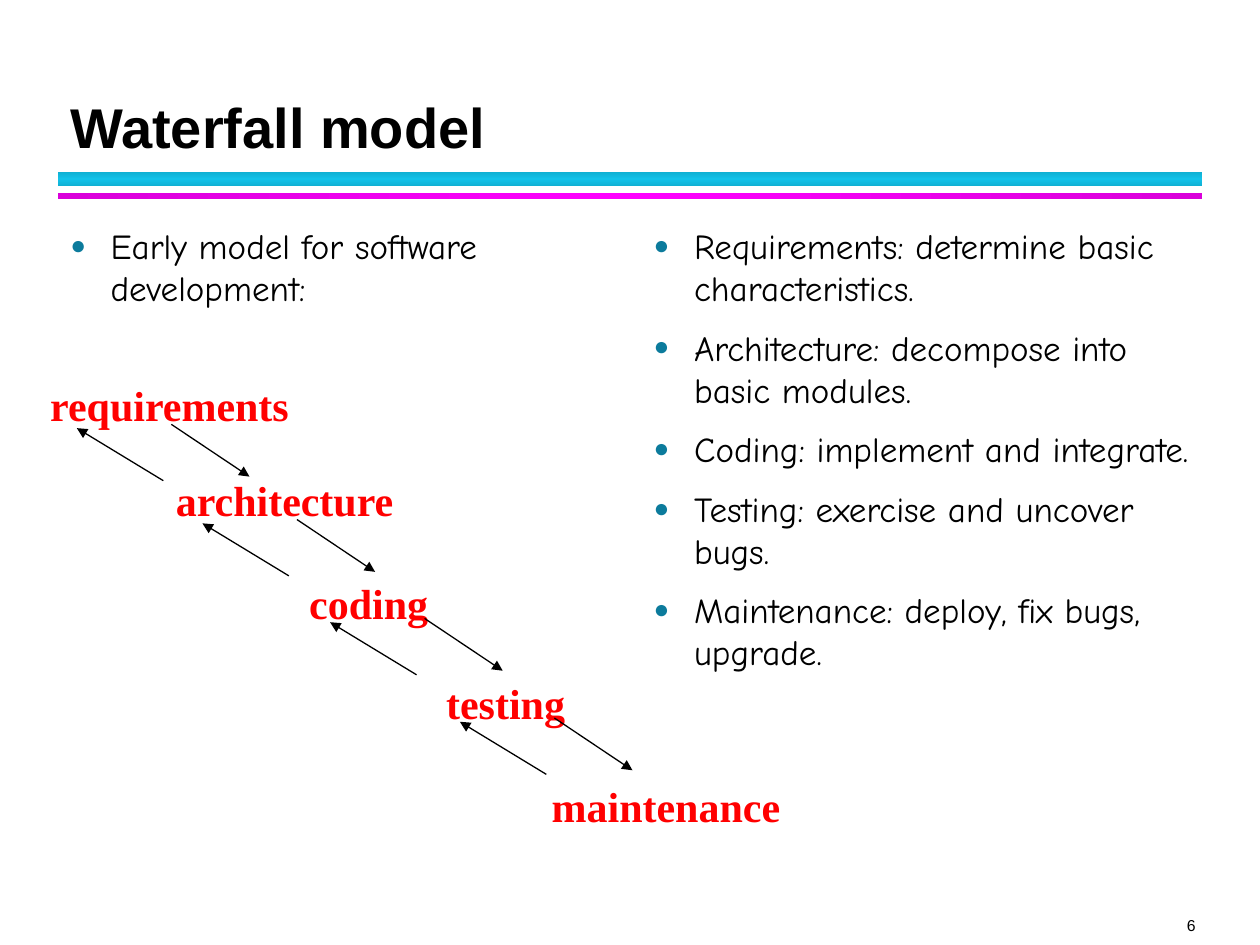
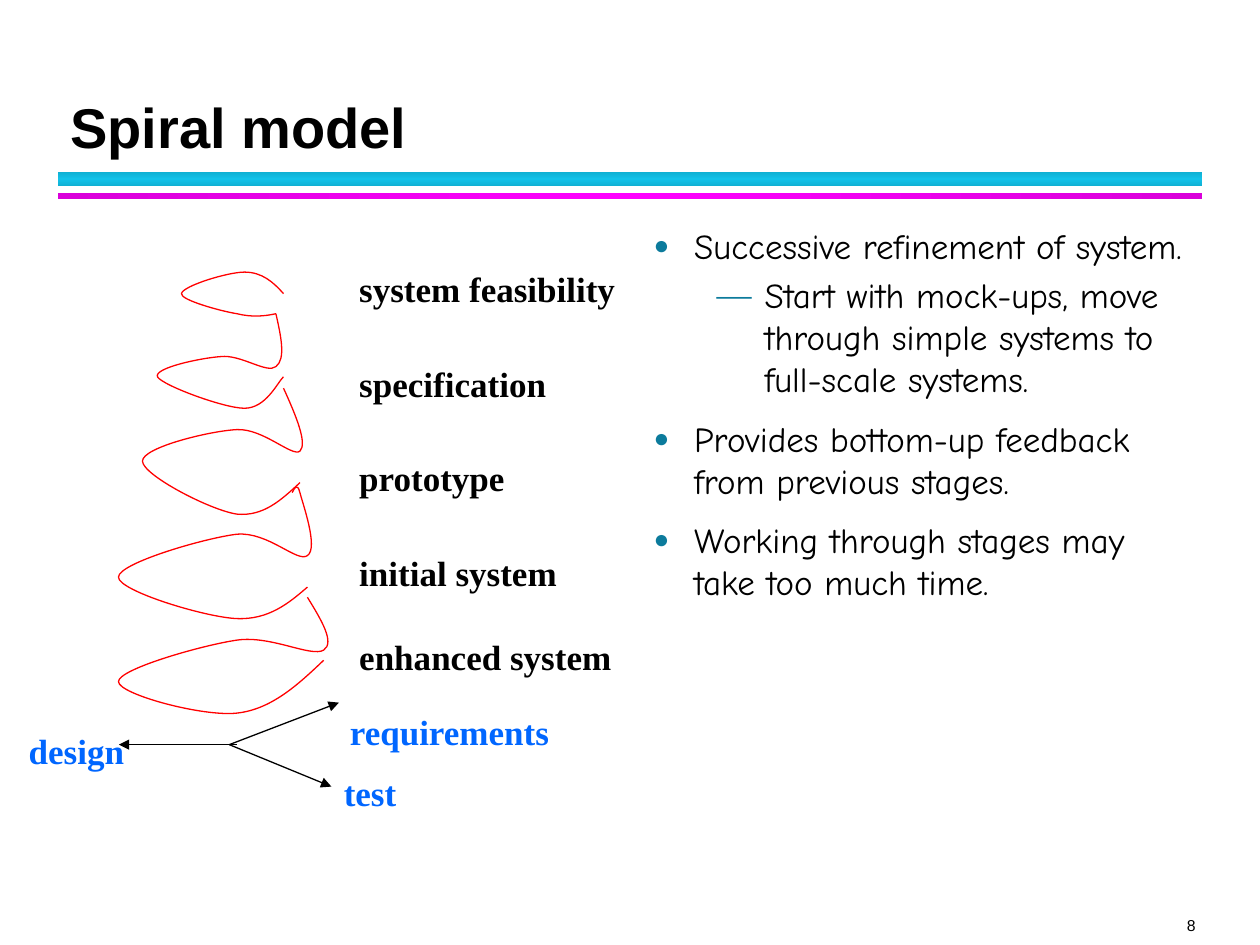
from copy import deepcopy

from lxml.etree import SubElement
from pptx import Presentation
from pptx.dml.color import RGBColor
from pptx.enum.shapes import MSO_CONNECTOR as Connector, MSO_SHAPE as Shape
from pptx.enum.text import MSO_ANCHOR as Anchor, PP_ALIGN as Align
from pptx.oxml.ns import qn
from pptx.util import Pt

BLACK, RED, BLUE, TEAL = "000000", "FF0000", "0066FF", "0C7B9C"
STRIPES = [(98.4, 8, 90, "12C2E9", 80), (110.16, 3.6, 0, "FF00FF", 70)]
MARGIN, STRIPE_WIDTH = 33.12, 653.76
LEFT_COLUMN, RIGHT_COLUMN = 33.12, 366.48
LEVELS = [("●", 75, 23.04, -23.04, 6), ("—", 100, 63.36, -27.36, 0)]

STAGES = [
    ("requirements", 21.6, 213.12, 151.92),
    ("architecture", 93.4, 267.6, 139.68),
    ("coding", 169.6, 326.4, 83.52),
    ("testing", 247.9, 383.76, 83.52),
    ("maintenance", 308.16, 442.3, 146.16),
]
STEP_ORIGINS = [(97.92, 242.5), (169.7, 296.9), (242.64, 353.4), (316.8, 410.3)]

MILESTONES = [
    ("system feasibility", 149.3, 161.28),
    ("specification", 203.76, 121.68),
    ("prototype", 257.3, 97.92),
    ("initial system", 311.76, 128.16),
    ("enhanced system", 359.7, 159.84),
]
AXIS_ARROWS = [
    ((131.04, 425.52), (193.68, 401.5)),
    ((135.36, 425.52), (67.9, 425.52)),
    ((131.04, 425.52), (189.36, 449.5)),
]
AXES = [
    ("requirements", 192.8, 402.48, 128.88),
    ("design", 9.36, 413.28, 69.12),
    ("test", 189.36, 437.3, 44.64),
]
SPIRAL_TURNS = [
    [(162, 167.8), (156.2, 161.3), (149.8, 155.5), (139.7, 155.5),
     (130.3, 155.5), (104.4, 163.4), (103.7, 167.8),
     (103, 171.4), (126, 177.8), (135.4, 179.3),
     (144, 181.4), (151.2, 180.7), (157.7, 179.3)],
    [(157.7, 179.3), (160.6, 192.2), (163.4, 205.2), (157.7, 209.5),
     (152.6, 213.8), (137.5, 202.3), (126, 203.8),
     (115.2, 204.5), (87.8, 210.2), (90, 215.3),
     (92.9, 220.3), (128.2, 233.3), (139.7, 233.3),
     (151.9, 233.3), (158.4, 218.9), (162, 215.3)],
    [(162, 221.8), (169.2, 237.6), (175.7, 253.4), (171.4, 257.8),
     (167, 261.4), (150.5, 244.8), (135.4, 245.5),
     (120.2, 246.2), (81.4, 255.6), (81.4, 263.5),
     (81.4, 271.4), (120.2, 291.6), (135.4, 293.8),
     (150.5, 295.2), (160.6, 285.8), (171.4, 275.8)],
    [(167, 281.5), (168.5, 278.6), (169.9, 275.8), (171.4, 281.5),
     (172.8, 287.3), (182.2, 313.2), (175.7, 317.5),
     (169.9, 321.8), (153.4, 303.8), (135.4, 305.3),
     (117.4, 307.4), (67.7, 321.8), (67.7, 329.8),
     (67.7, 337.7), (117.4, 352.8), (135.4, 353.5),
     (153.4, 354.2), (164.9, 344.9), (175.7, 335.5)],
    [(175.7, 341.3), (183.6, 354.2), (191.5, 367.2), (185, 371.5),
     (177.8, 375.8), (154.8, 362.9), (135.4, 365.8),
     (115.9, 368.6), (67.7, 382.3), (67.7, 389.5),
     (67.7, 396.7), (115.9, 409.7), (135.4, 407.5),
     (154.8, 405.4), (169.9, 391.7), (185, 377.3)],
]


def color(hex_code):
    return RGBColor.from_string(hex_code)


def style(paragraph, size, face, ink=BLACK, bold=False):
    for run in paragraph.runs:
        run.font.size = Pt(size)
        run.font.name = face
        run.font.bold = bold
        run.font.color.rgb = color(ink)


def add_box(slide, left, top, width, height, wrap=True):
    frame = slide.shapes.add_textbox(Pt(left), Pt(top), Pt(width), Pt(height)).text_frame
    frame.word_wrap = wrap
    return frame


def add_label(slide, text, left, top, width, size, ink):
    frame = add_box(slide, left, top, width, size * 1.2 + 7.2, wrap=False)
    frame.text = text
    style(frame.paragraphs[0], size, "Times New Roman", ink, bold=True)


def add_stripe(slide, top, height, angle, tone, edge_shade):
    stripe = slide.shapes.add_shape(
        Shape.RECTANGLE, Pt(MARGIN), Pt(top), Pt(STRIPE_WIDTH), Pt(height))
    stripe.shadow.inherit = False
    stripe.line.fill.background()
    stripe.fill.gradient()
    stripe.fill.gradient_angle = angle
    stops = stripe._element.xpath(".//a:gsLst")[0]
    stops.insert(1, deepcopy(stops[0]))
    for index, stop in enumerate(stripe.fill.gradient_stops):
        stop.position = index / 2
        stop.color.rgb = color(tone)
    for edge in (stops[0], stops[2]):
        SubElement(edge[0], qn("a:shade")).set("val", str(edge_shade * 1000))


def start_slide(deck, title, number):
    slide = deck.slides.add_slide(deck.slide_layouts[6])
    footer = add_box(slide, 630.72, 523.44, 52.56, 10.8)
    footer.margin_left = footer.margin_right = footer.margin_top = footer.margin_bottom = 0
    footer.vertical_anchor = Anchor.BOTTOM
    footer.text = number
    footer.paragraphs[0].alignment = Align.RIGHT
    style(footer.paragraphs[0], 9, "Arial")
    for stripe in STRIPES:
        add_stripe(slide, *stripe)
    heading = add_box(slide, MARGIN, 23.76, 652.32, 71.28)
    heading.vertical_anchor = Anchor.BOTTOM
    heading.text = title
    heading.paragraphs[0].line_spacing = Pt(36)
    style(heading.paragraphs[0], 32, "Arial", bold=True)
    return slide


def add_bullets(slide, left, items):
    frame = add_box(slide, left, 124.9, 321.84, 398.88)
    frame.text = "\n".join(text for _, text in items)
    for index, (paragraph, (level, _)) in enumerate(zip(frame.paragraphs, items)):
        mark, percent, margin, indent, before = LEVELS[level]
        props = paragraph._p.get_or_add_pPr()
        props.set("marL", str(Pt(margin)))
        props.set("indent", str(Pt(indent)))
        SubElement(SubElement(props, qn("a:buClr")), qn("a:srgbClr")).set("val", TEAL)
        SubElement(props, qn("a:buSzPct")).set("val", str(percent * 1000))
        SubElement(props, qn("a:buFont")).set("typeface", "Times New Roman")
        SubElement(props, qn("a:buChar")).set("char", mark)
        paragraph.level = level
        paragraph.line_spacing = Pt(24)
        paragraph.space_before = Pt(before if index else 0)
        paragraph.space_after = Pt(4)
        style(paragraph, 20, "Comic Neue")


def add_arrow(slide, start, end):
    arrow = slide.shapes.add_connector(
        Connector.STRAIGHT, *(Pt(value) for value in (*start, *end)))
    arrow.line.color.rgb = color(BLACK)
    arrow.line.width = Pt(0.75)
    SubElement(arrow.line._get_or_add_ln(), qn("a:tailEnd")).set("type", "triangle")
    SubElement(arrow._element.spPr, qn("a:effectLst"))


def add_curve(slide, controls):
    start, *others = [(Pt(x), Pt(y)) for x, y in controls]
    builder = slide.shapes.build_freeform(*start)
    builder.add_line_segments(others, close=False)
    curve = builder.convert_to_shape()
    outline = curve._element.xpath(".//a:pathLst/*")[0]
    corners = outline.findall(qn("a:lnTo"))
    for first in range(0, len(corners), 3):
        bend = SubElement(outline, qn("a:cubicBezTo"))
        for corner in corners[first:first + 3]:
            bend.append(corner[0])
            outline.remove(corner)
    curve.shadow.inherit = False
    curve.fill.background()
    curve.line.color.rgb = color(RED)
    curve.line.width = Pt(0.75)


def build_waterfall(deck):
    slide = start_slide(deck, "Waterfall model", "6")
    add_bullets(slide, LEFT_COLUMN, [(0, "Early model for software development:")])
    add_bullets(slide, RIGHT_COLUMN, [
        (0, "Requirements: determine basic characteristics."),
        (0, "Architecture: decompose into basic modules."),
        (0, "Coding: implement and integrate."),
        (0, "Testing: exercise and uncover bugs."),
        (0, "Maintenance: deploy, fix bugs, upgrade."),
    ])
    for stage, left, top, width in STAGES:
        add_label(slide, stage, left, top, width, 24, RED)
    for x, y in STEP_ORIGINS:
        add_arrow(slide, (x, y), (x + 44.64, y + 29.88))
        add_arrow(slide, (x - 4.6, y + 32.2), (x - 54, y + 2.16))


def build_spiral(deck):
    slide = start_slide(deck, "Spiral model", "8")
    add_bullets(slide, RIGHT_COLUMN, [
        (0, "Successive refinement of system."),
        (1, "Start with mock-ups, move through simple systems to full-scale systems."),
        (0, "Provides bottom-up feedback from previous stages."),
        (0, "Working through stages may take too much time."),
    ])
    for start, end in AXIS_ARROWS:
        add_arrow(slide, start, end)
    for activity, left, top, width in AXES:
        add_label(slide, activity, left, top, width, 20, BLUE)
    for milestone, top, width in MILESTONES:
        add_label(slide, milestone, 198.2, top, width, 20, BLACK)
    for turn in SPIRAL_TURNS:
        add_curve(slide, turn)


def main():
    deck = Presentation()
    deck.slide_width, deck.slide_height = Pt(720), Pt(540)
    build_waterfall(deck)
    build_spiral(deck)
    deck.save("out.pptx")


if __name__ == "__main__":
    main()
